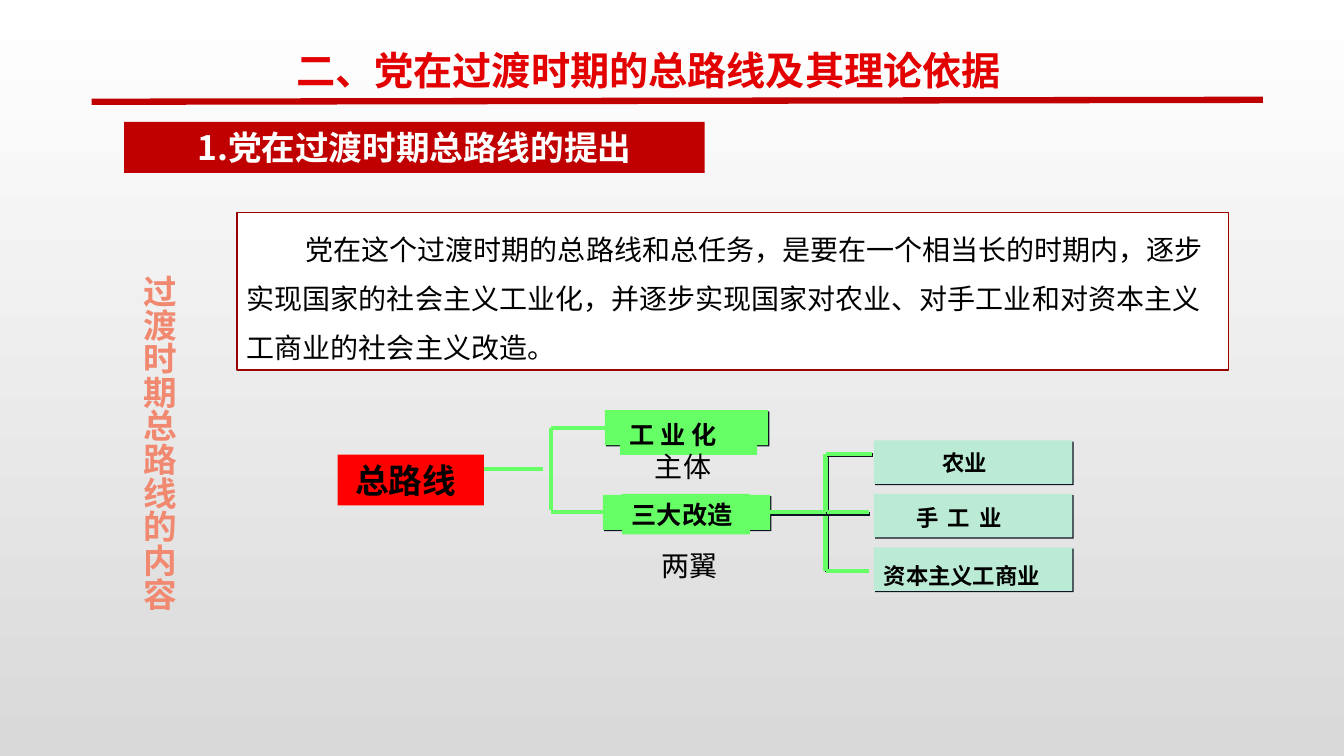
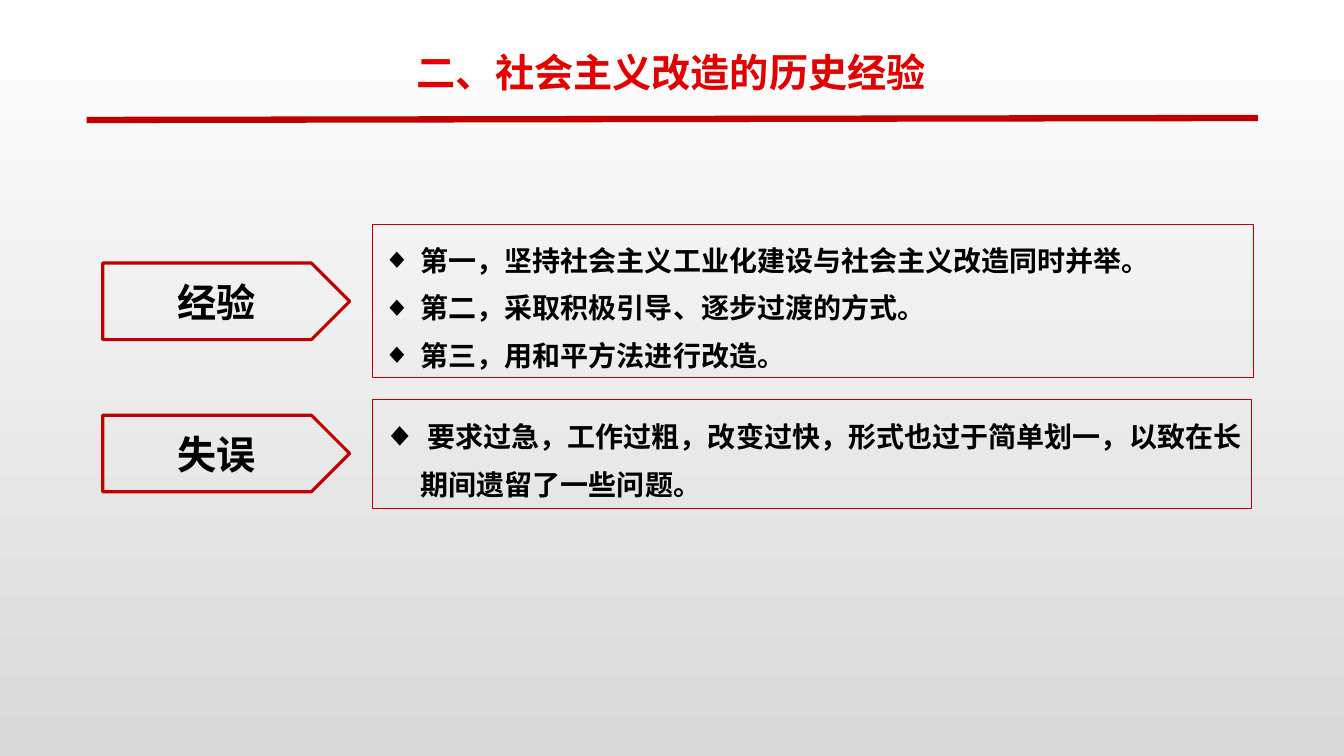
from lxml import etree
from pptx import Presentation
from pptx import util as u
from pptx.dml.color import RGBColor
from pptx.enum import shapes, text
from pptx.oxml import ns

Pt = u.Pt
KIND = shapes.MSO_SHAPE
ALIGN = text.PP_ALIGN
SANS, SERIF = "Noto Sans CJK SC", "Times New Roman"
COLORS = {
    "top": "FFFFFF", "bottom": "D9D9D9", "title": "E30000", "band": "C00000",
    "white": "FFFFFF", "black": "000000", "side": "F18870", "frame": "990000",
    "root": "FF0000", "green": "66FF66", "leaf": "BBEAD5", "shadow": "0F1423",
}


def color(name):
    """Return the named colour."""
    return RGBColor.from_string(COLORS[name])


def add_node(parent, tag, **attributes):
    """Append a drawing element to a parent element."""
    node = etree.SubElement(parent, ns.qn(tag))
    for key, value in attributes.items():
        node.set(key, str(value))
    return node


def cast_shadow(effects):
    """Put a hard diagonal shadow in an effect list."""
    outer = add_node(effects, "a:outerShdw", dist=int(Pt(1.4)), dir=2700000, algn="ctr", rotWithShape=0)
    add_node(outer, "a:srgbClr", val=COLORS["shadow"])


def add_text(box, content, size=20, font=SANS, ink="black", bold=True, align=ALIGN.LEFT,
             anchor=text.MSO_ANCHOR.TOP, spacing=None, left=7.2, top=3.6, first=0,
             bullet=None, tracking=0, vertical=False):
    """Write one paragraph for each line of content."""
    frame = box.text_frame
    frame.word_wrap = True
    frame.vertical_anchor = anchor
    frame.margin_left, frame.margin_top = Pt(left), Pt(top)
    frame.margin_right, frame.margin_bottom = Pt(7.2), Pt(3.6)
    if vertical:
        frame._txBody.bodyPr.set("vert", "eaVert")
    for index, line in enumerate(content.split("\n")):
        para = frame.paragraphs[0] if index == 0 else frame.add_paragraph()
        para.alignment = align
        properties = para._p.get_or_add_pPr()
        if bullet:
            properties.set("marL", str(Pt(27)))
            properties.set("indent", str(-Pt(27)))
            add_node(properties, "a:buSzPct", val=bullet * 1000)
            add_node(properties, "a:buFont", typeface="Arial")
            add_node(properties, "a:buChar", char="◆")
        elif first:
            properties.set("indent", str(Pt(first)))
        if spacing:
            para.line_spacing = spacing
        span = para.add_run()
        span.text = line
        span.font.size, span.font.bold, span.font.name = Pt(size), bold, font
        span.font.color.rgb = color(ink)
        marks = span._r.get_or_add_rPr()
        add_node(marks, "a:ea", typeface=SANS)
        if tracking:
            marks.set("spc", str(tracking))


def add_box(page, place, fill=None, line=None, weight=1, kind=KIND.RECTANGLE, shadow=False):
    """Draw a preset shape."""
    box = page.shapes.add_shape(kind, *map(Pt, place))
    box.shadow.inherit = False
    if shadow:
        cast_shadow(box._element.spPr.find(ns.qn("a:effectLst")))
    if fill:
        box.fill.solid()
        box.fill.fore_color.rgb = color(fill)
    else:
        box.fill.background()
    if line:
        box.line.color.rgb = color(line)
        box.line.width = Pt(weight)
    else:
        box.line.fill.background()
    return box


def add_label(page, place, content, **style):
    """Place a text box."""
    add_text(page.shapes.add_textbox(*map(Pt, place)), content, **style)


def add_line(page, start, end, ink="green", weight=3, shadow=False):
    """Draw a straight connector."""
    line = page.shapes.add_connector(shapes.MSO_CONNECTOR.STRAIGHT, *map(Pt, start + end))
    line.line.color.rgb = color(ink)
    line.line.width = Pt(weight)
    effects = add_node(line._element.spPr, "a:effectLst")
    if shadow:
        cast_shadow(effects)
    return line


def add_header(page, title, place, rule):
    """Write the slide title and its red rule."""
    add_label(page, place, title, size=28, ink="title", align=ALIGN.CENTER, spacing=1.5)
    left, top = rule
    add_line(page, (left, top), (left + 836.6, top - 1.4), ink="band", weight=4.5)


def add_tree(page):
    """Draw the diagram of the general line."""
    trunk, middle, step = 589.7, 366, 41.75
    rows = [middle - step, middle, middle + step]
    add_line(page, (trunk, rows[0]), (trunk, rows[2]), shadow=True)
    for row, end in zip(rows, (622.8, 620.6, 620.6)):
        add_line(page, (trunk, row), (end, row), shadow=row != rows[2])

    root = add_box(page, (241.2, 324.7, 104.4, 36.4), fill="root")
    add_text(root, "总路线", size=24, font=SERIF, left=12.5)
    industry = add_box(page, (432, 293, 116.6, 25), fill="green", shadow=True)
    reform = add_box(page, (430.6, 353.5, 119.5, 25), fill="green", shadow=True)
    for place, name, font in (((442.8, 296, 98, 29), "工 业 化", SANS),
                              ((444.2, 352.8, 91.5, 29), "三大改造", SERIF)):
        add_text(add_box(page, place, fill="green"), name, size=18, font=font)

    for index in range(3):
        add_box(page, (624.2, 314.6 + 38.2 * index, 141.8, 31), fill="leaf", shadow=True)
    add_label(page, (650.2, 311.8, 90.7, 36), "农业", size=16, left=22.7, top=9)
    add_label(page, (647.3, 356.4, 160.6, 26.6), "手 工 业", size=16, tracking=160)
    add_label(page, (624.2, 398.2, 199.4, 26.6), "资本主义工商业", size=16, font=SERIF)
    for place, name in (((460.8, 320.4, 80, 29), "主体"), ((465.1, 391, 70.6, 29), "两翼")):
        add_label(page, place, name, font=SERIF, bold=False, spacing=0.9)

    add_line(page, (550.1, middle), (trunk, middle), shadow=True).begin_connect(reform, 3)
    add_line(page, (345.6, 334.8), (388, 334.8))
    add_line(page, (393.5, 305.5), (393.5, 364.5))
    for plate, row in ((industry, 305.5), (reform, middle)):
        add_line(page, (393.8, row), (430.6, row)).end_connect(plate, 1)


def build_general_line(page):
    """Build the slide on the general line."""
    add_label(page, (88.6, 189.4, 49, 276.5), "过渡时期总路线的内容", size=24, font="Arial",
              ink="side", align=ALIGN.CENTER, spacing=1.2, vertical=True)
    quote = add_box(page, (169.2, 151.9, 708.5, 112.3), fill="white", line="frame")
    add_text(quote, "党在这个过渡时期的总路线和总任务，是要在一个相当长的时期内，逐步实现国家的社会主义工业化，"
             "并逐步实现国家对农业、对手工业和对资本主义工商业的社会主义改造。",
             font=SERIF, bold=False, spacing=Pt(34.8), first=42)
    add_tree(page)
    add_header(page, "二、党在过渡时期的总路线及其理论依据", (203, 13, 520.6, 58.3), (65.5, 72.7))
    band = add_box(page, (88.6, 87.1, 414.7, 36.4), fill="band")
    add_text(band, "1.党在过渡时期总路线的提出", size=24, ink="white", align=ALIGN.CENTER)


def build_lessons(page):
    """Build the slide on lessons and mistakes."""
    add_header(page, "二、社会主义改造的历史经验", (75.6, 14.4, 807.8, 58.3), (61.9, 85.7))
    lessons = ("第一，坚持社会主义工业化建设与社会主义改造同时并举。\n"
               "第二，采取积极引导、逐步过渡的方式。\n"
               "第三，用和平方法进行改造。")
    mistakes = " 要求过急，工作过粗，改变过快，形式也过于简单划一，以致在长期间遗留了一些问题。"
    for name, top, place, content, spacing, bullet in (
            ("经验", 187.9, (266.4, 160.6, 629.3, 109.4), lessons, 33.8, 100),
            ("失误", 296.6, (266.4, 285.1, 627.8, 77.8), mistakes, 34.8, 120)):
        arrow = add_box(page, (73.4, top, 176.4, 54.7), line="band", weight=2.25, kind=KIND.PENTAGON)
        add_text(arrow, name, size=28, align=ALIGN.CENTER, anchor=text.MSO_ANCHOR.MIDDLE)
        panel = add_box(page, place, line="band", weight=0.75)
        add_text(panel, content, align=ALIGN.JUSTIFY, spacing=Pt(spacing), bullet=bullet)


def main():
    """Build and save the deck."""
    deck = Presentation()
    deck.slide_width, deck.slide_height = Pt(960), Pt(540)
    fill = deck.slide_master.background.fill
    fill.gradient()
    fill.gradient_angle = 270
    for stop, position, name in zip(fill.gradient_stops, (0, 1), ("top", "bottom")):
        stop.position = position
        stop.color.rgb = color(name)
    for build in (build_general_line, build_lessons):
        build(deck.slides.add_slide(deck.slide_layouts[6]))
    deck.save("out.pptx")


if __name__ == "__main__":
    main()
